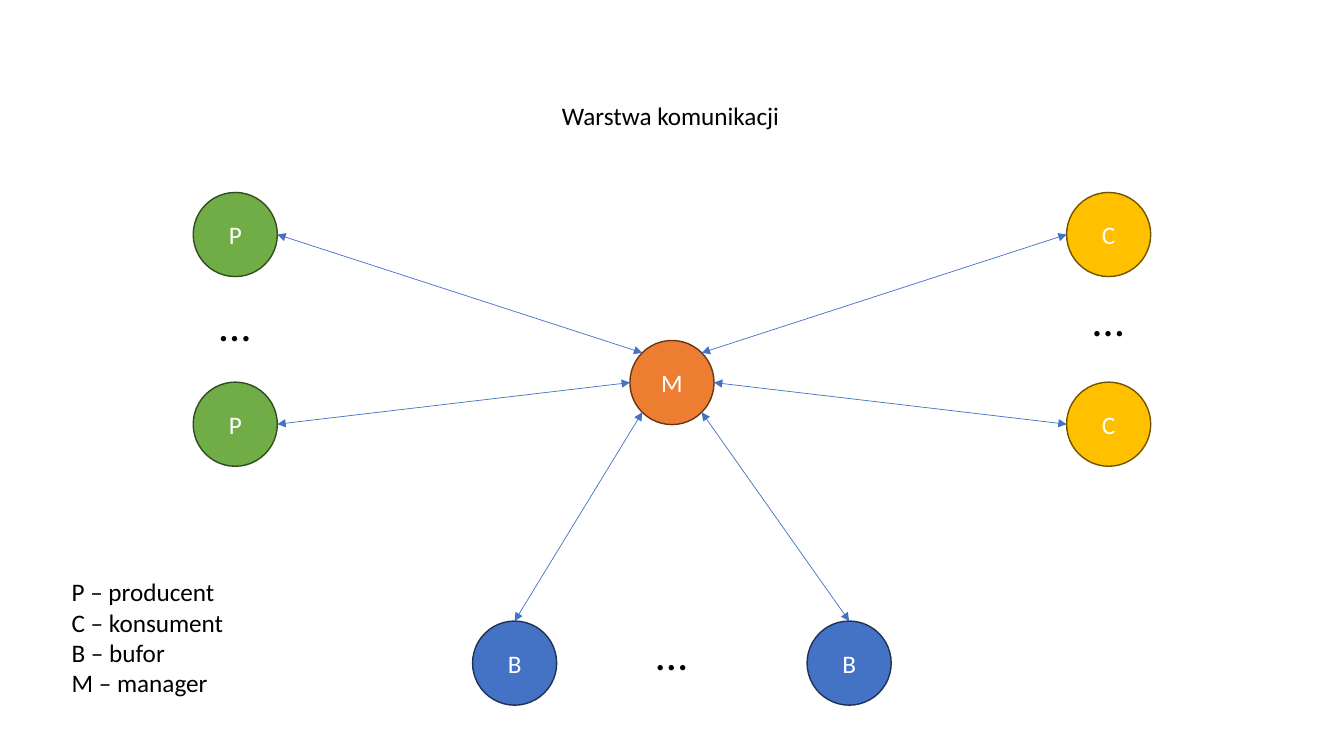
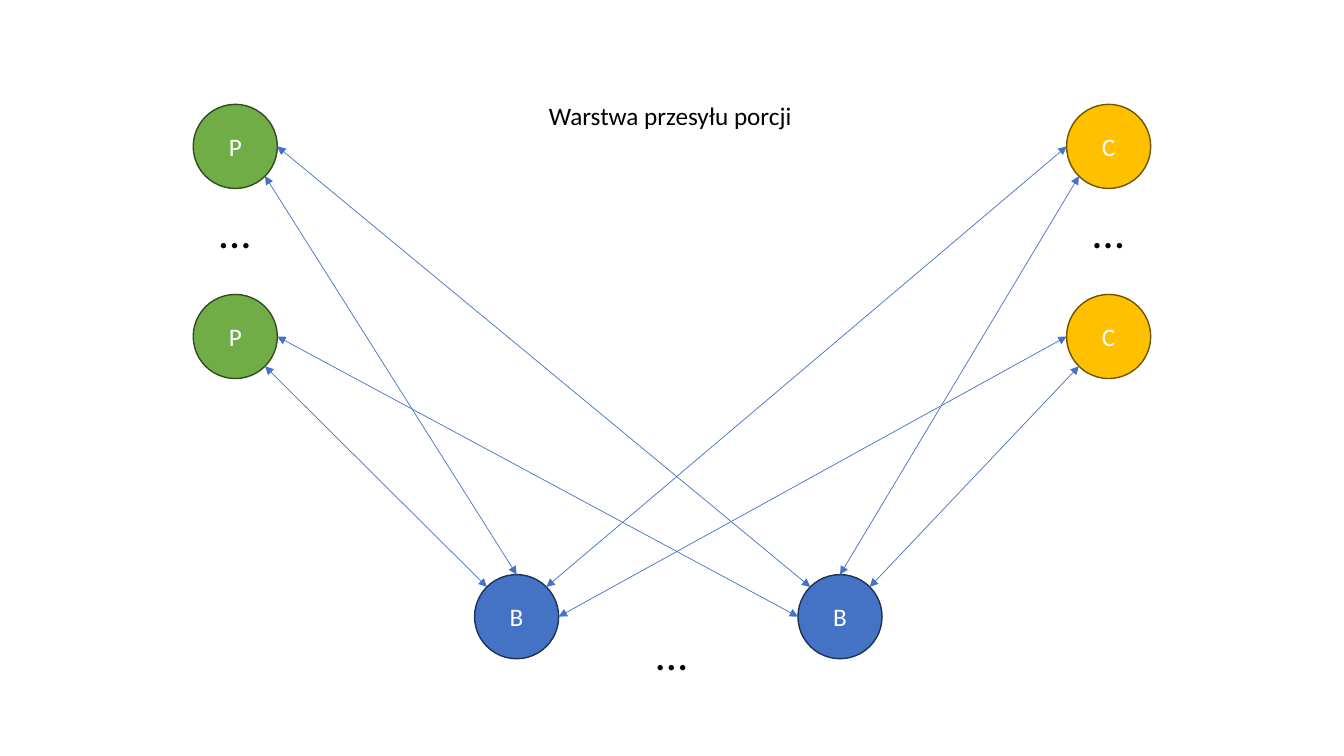
from dataclasses import dataclass
from enum import IntEnum
from math import cos, pi, sin

from lxml.etree import SubElement as Sub
from pptx import Presentation
from pptx.dml.color import RGBColor as Rgb
from pptx.enum.shapes import MSO_CONNECTOR as Link, MSO_SHAPE as Form
from pptx.enum.text import MSO_ANCHOR as Anchor, MSO_AUTO_SIZE as Fit, PP_ALIGN as Align
from pptx.oxml.ns import qn
from pptx.util import Cm, Pt


@dataclass(frozen=True)
class Theme:
    """Colours, type and sizes that the slides share."""

    font: str = "Calibri"
    body: int = 18
    dots: int = 32
    ink: str = "000000"
    pale: str = "FFFFFF"
    wire: str = "4472C4"
    thin: float = 0.5
    edge: float = 1
    wide: float = 33.87
    high: float = 19.05
    size: float = 2.12
    side: float = 5.93

    def mid(self):
        """Return the x of the slide's middle."""
        return self.wide / 2

    def far(self):
        """Return the x that mirrors the left column."""
        return self.wide - self.side


class Site(IntEnum):
    """Glue points of an ellipse, counted anticlockwise from the top."""

    TOP = 0
    TOP_LEFT = 1
    LEFT = 2
    LOW_LEFT = 3
    LOW_RIGHT = 5
    RIGHT = 6
    TOP_RIGHT = 7


THEME = Theme()
ROLES = {
    "P": ("70AD47", "314C1F"),
    "C": ("FFC000", "705400"),
    "B": ("4472C4", "1E3256"),
    "M": ("ED7D31", "683715"),
}


def style(item, form):
    """Set each attribute named in the dict."""
    for name, value in form.items():
        setattr(item, name, value)


def paint(fill, tint):
    """Give a fill one solid colour."""
    fill.solid()
    fill.fore_color.rgb = Rgb.from_string(tint)


def write(frame, lines, size, tint, align):
    """Write one paragraph per line of text."""
    frame.text = "\n".join(lines)
    for para in frame.paragraphs:
        para.alignment = align
        style(para.runs[0].font, {"name": THEME.font, "size": Pt(size)})
        para.runs[0].font.color.rgb = Rgb.from_string(tint)


def frame_at(x, y, wide, high):
    """Turn a centre and a size into a box."""
    return Cm(x - wide / 2), Cm(y - high / 2), Cm(wide), Cm(high)


def node(slide, role, x, y):
    """Draw a lettered circle around a centre."""
    ball = slide.shapes.add_shape(Form.OVAL, *frame_at(x, y, THEME.size, THEME.size))
    fill, edge = ROLES[role]
    ball.shadow.inherit = False
    paint(ball.fill, fill)
    paint(ball.line.fill, edge)
    ball.line.width = Pt(THEME.edge)
    ball.text_frame.vertical_anchor = Anchor.MIDDLE
    write(ball.text_frame, [role], THEME.body, THEME.pale, Align.CENTER)
    return ball


def label(slide, lines, x, y, wide, high, size=THEME.body):
    """Add unwrapped text around a centre."""
    box = slide.shapes.add_textbox(*frame_at(x, y, wide, high))
    style(box.text_frame, {"word_wrap": False, "auto_size": Fit.SHAPE_TO_FIT_TEXT})
    write(box.text_frame, lines, size, THEME.ink, Align.LEFT)


def title(slide, text, wide):
    """Add the title of a slide."""
    label(slide, [text], THEME.mid(), 2.92, wide, 1.02)


def dots(slide, x, y):
    """Add an ellipsis that stands for more nodes."""
    label(slide, ["…"], x, y, 1.3, 1.62, THEME.dots)


def point(ball, site):
    """Find a glue point on a circle."""
    turn, half = site * pi / 4, ball.width / 2
    return (
        round(ball.left + half * (1 - sin(turn))),
        round(ball.top + half * (1 - cos(turn))),
    )


def wire(slide, start, exit, end, entry):
    """Join two circles with a double arrow."""
    line = slide.shapes.add_connector(
        Link.STRAIGHT, *point(start, exit), *point(end, entry)
    )
    paint(line.line.fill, THEME.wire)
    line.line.width = Pt(THEME.thin)
    props = line.element.spPr
    for tip in ("a:headEnd", "a:tailEnd"):
        Sub(props.find(qn("a:ln")), qn(tip), type="triangle")
    Sub(props, qn("a:effectLst"))
    glue = line.element.find(".//" + qn("p:cNvCxnSpPr"))
    for tag, ball, site in (("a:stCxn", start, exit), ("a:endCxn", end, entry)):
        Sub(glue, qn(tag), id=str(ball.shape_id), idx=str(int(site)))


def column(slide, role, x, rows, gap):
    """Draw a column of nodes with an ellipsis between."""
    balls = [node(slide, role, x, y) for y in rows]
    dots(slide, x, gap)
    return balls


def buffers(slide, xs, y):
    """Draw the row of buffers with its ellipsis."""
    balls = [node(slide, "B", x, y) for x in xs]
    dots(slide, THEME.mid(), 16.46)
    return balls


def talk(slide):
    """Build the communication layer."""
    rows = (5.91, 10.69)
    makers = column(slide, "P", THEME.side, rows, 8.15)
    users = column(slide, "C", THEME.far(), rows, 8.03)
    stores = buffers(slide, (12.97, 21.4), 16.71)
    hub = node(slide, "M", THEME.mid(), 9.64)
    for exit, ball, entry in (
        (Site.TOP_LEFT, makers[0], Site.RIGHT),
        (Site.LEFT, makers[1], Site.RIGHT),
        (Site.TOP_RIGHT, users[0], Site.LEFT),
        (Site.RIGHT, users[1], Site.LEFT),
        (Site.LOW_LEFT, stores[0], Site.TOP),
        (Site.LOW_RIGHT, stores[1], Site.TOP),
    ):
        wire(slide, hub, exit, ball, entry)
    title(slide, "Warstwa komunikacji", 6.05)
    key = ["P – producent", "C – konsument", "B – bufor", "M – manager"]
    label(slide, key, 3.75, 16.07, 4.39, 3.33)


def send(slide):
    """Build the portion transfer layer."""
    rows = (3.69, 8.48)
    makers = column(slide, "P", THEME.side, rows, 5.82)
    users = column(slide, "C", THEME.far(), rows, 5.82)
    left, right = buffers(slide, (13.02, 21.17), 15.54)
    sides = (
        (makers, left, right, Site.LOW_RIGHT, Site.RIGHT, Site.TOP_LEFT, Site.LEFT),
        (users, right, left, Site.LOW_LEFT, Site.LEFT, Site.TOP_RIGHT, Site.RIGHT),
    )
    for (upper, lower), near, far, low, flat, slant, level in sides:
        wire(slide, upper, low, near, Site.TOP)
        wire(slide, lower, low, near, slant)
        wire(slide, upper, flat, far, slant)
        wire(slide, lower, flat, far, level)
    title(slide, "Warstwa przesyłu porcji", 6.71)


def main():
    """Build and save the deck."""
    deck = Presentation()
    style(deck, {"slide_width": Cm(THEME.wide), "slide_height": Cm(THEME.high)})
    for build in (talk, send):
        build(deck.slides.add_slide(deck.slide_layouts[6]))
    deck.save("out.pptx")


if __name__ == "__main__":
    main()
